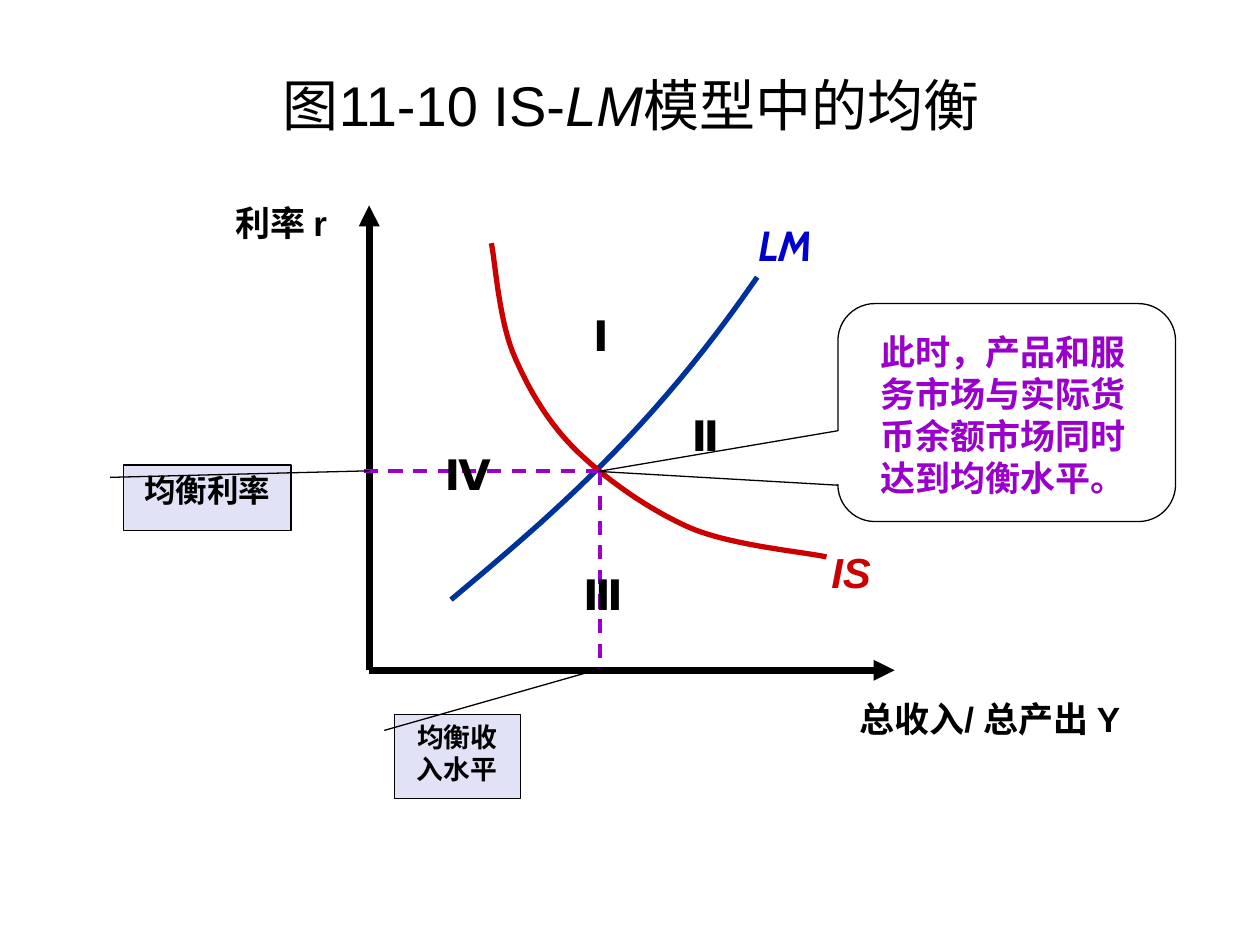
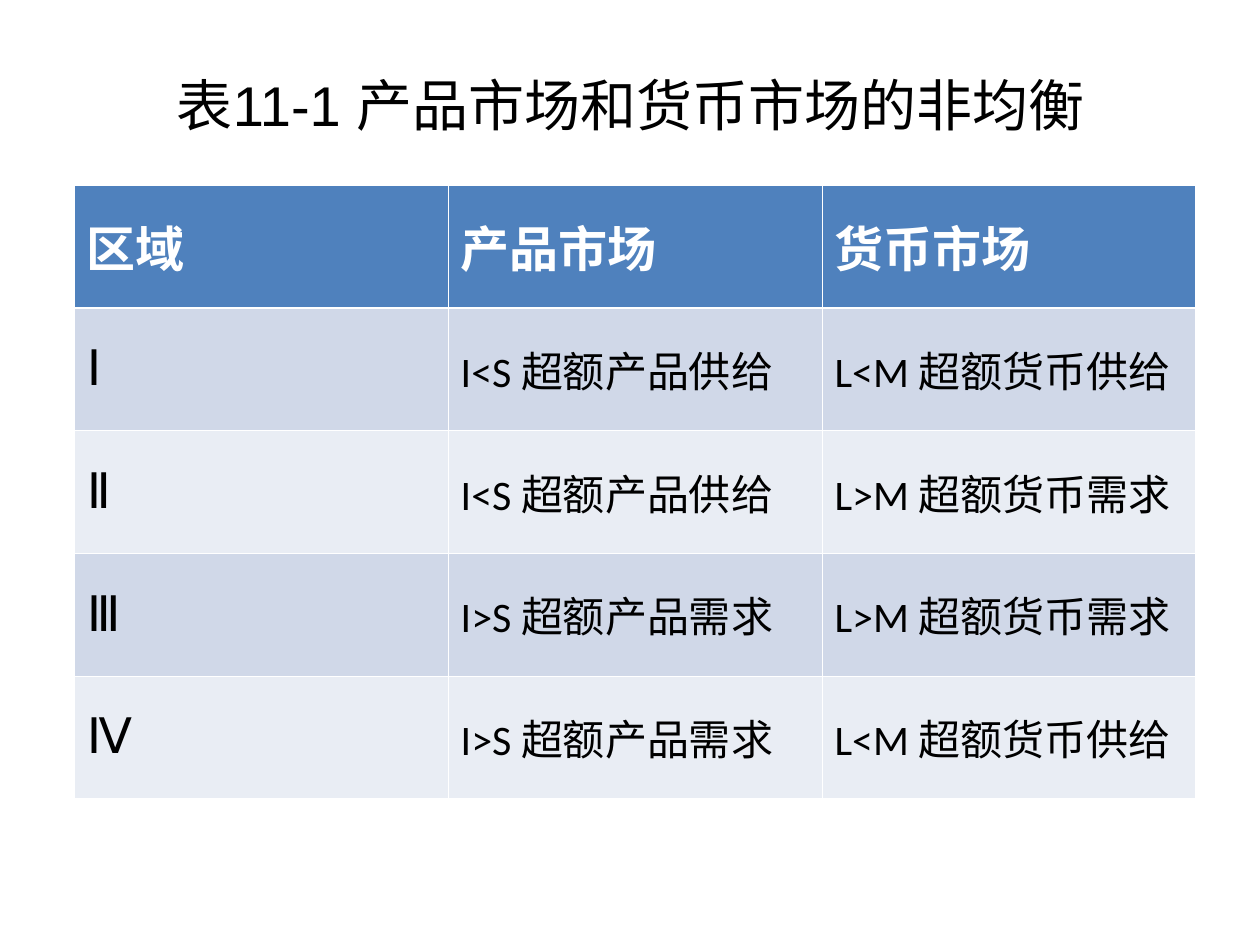
"""Build two slides on IS-LM equilibrium: a diagram and a table of disequilibrium regions."""
import dataclasses

import lxml.etree
import pptx
import pptx.dml.color
import pptx.enum.dml
import pptx.enum.shapes
import pptx.enum.text
import pptx.oxml.ns
import pptx.util

Inches = pptx.util.Inches
Pt = pptx.util.Pt
RGB = pptx.dml.color.RGBColor.from_string
SHAPE = pptx.enum.shapes.MSO_SHAPE
ALIGN = pptx.enum.text.PP_ALIGN
ANCHOR = pptx.enum.text.MSO_ANCHOR


@dataclasses.dataclass(frozen=True)
class Theme:
    font: str = "Arial"
    curve_font: str = "Cabin"
    table_font: str = "Calibri"
    black: str = "000000"
    white: str = "FFFFFF"
    lm_line: str = "003399"
    lm_text: str = "0000CC"
    is_red: str = "CC0000"
    purple: str = "9900CC"
    note_fill: str = "E2E2F6"
    header_fill: str = "4F81BD"
    row_fills: tuple = ("D0D8E8", "E9EDF4")
    title: float = 32
    table_head: float = 28
    curve: float = 24
    body: float = 20
    note: float = 18
    small_note: float = 15.3
    axis_width: float = 4
    curve_width: float = 3
    guide_width: float = 2
    outline: float = 0.75
    grid: float = 0.45
    header_rule: float = 1.47


def bezier(start, *segments, steps=24):
    points = [start]
    for x1, y1, x2, y2, x3, y3 in segments:
        x0, y0 = points[-1]
        for i in range(1, steps + 1):
            t = i / steps
            u = 1 - t
            weights = u ** 3, 3 * u * u * t, 3 * u * t * t, t ** 3
            points.append((sum(w * x for w, x in zip(weights, (x0, x1, x2, x3))),
                           sum(w * y for w, y in zip(weights, (y0, y1, y2, y3)))))
    return points


class Deck:
    def __init__(self, theme):
        self.theme = theme
        self.prs = pptx.Presentation()
        self.prs.slide_width, self.prs.slide_height = Inches(10), Inches(7.5)
        self.s = None

    def slide(self, *title_runs):
        self.s = self.prs.slides.add_slide(self.prs.slide_layouts[6])
        self.text((0.51, 0.36, 9, 0.94), title_runs, anchor=ANCHOR.MIDDLE,
                  align=ALIGN.CENTER, size=self.theme.title, bold=False)

    def set_text(self, tf, runs, anchor=ANCHOR.TOP, align=ALIGN.LEFT, color=None, **fmt):
        t = self.theme
        frame = {"word_wrap": True, "vertical_anchor": anchor}
        for name, value in frame.items():
            setattr(tf, name, value)
        p = tf.paragraphs[0]
        p.alignment = align
        for text, extra in runs:
            values = {"name": t.font, "size": t.body, "bold": True, **fmt, **extra}
            values["size"] = Pt(values["size"])
            r = p.add_run()
            r.text = text
            for name, value in values.items():
                setattr(r.font, name, value)
            r.font.color.rgb = RGB(color or t.black)

    def text(self, box, runs, **fmt):
        sp = self.s.shapes.add_textbox(*map(Inches, box))
        self.set_text(sp.text_frame, runs, **fmt)

    def label(self, box, text, **fmt):
        self.text(box, [(text, {})], **fmt)

    def stroke(self, line, color, width):
        line.color.rgb = RGB(color)
        line.width = Pt(width)

    def line(self, start, end, color, width, arrow=False, dash=False):
        sp = self.s.shapes.add_connector(
            pptx.enum.shapes.MSO_CONNECTOR.STRAIGHT, *map(Inches, start + end))
        self.stroke(sp.line, color, width)
        if dash:
            sp.line.dash_style = pptx.enum.dml.MSO_LINE.DASH
        sp_pr = sp._element.spPr
        if arrow:
            lxml.etree.SubElement(sp_pr.get_or_add_ln(),
                                  pptx.oxml.ns.qn("a:tailEnd"), type="triangle")
        lxml.etree.SubElement(sp_pr, pptx.oxml.ns.qn("a:effectLst"))

    def curve(self, points, color):
        scaled = [(Inches(x), Inches(y)) for x, y in points]
        fb = self.s.shapes.build_freeform(*scaled[0])
        fb.add_line_segments(scaled[1:], close=False)
        sp = fb.convert_to_shape()
        sp.shadow.inherit = False
        sp.fill.background()
        self.stroke(sp.line, color, self.theme.curve_width)

    def callout(self, kind, box, adjustments, fill=None, text=None, **fmt):
        sp = self.s.shapes.add_shape(kind, *map(Inches, box))
        sp.shadow.inherit = False
        for i, value in enumerate(adjustments):
            sp.adjustments[i] = value
        if fill:
            sp.fill.solid()
            sp.fill.fore_color.rgb = RGB(fill)
        else:
            sp.fill.background()
        self.stroke(sp.line, self.theme.black, self.theme.outline)
        if text:
            self.set_text(sp.text_frame, [(text, {})], align=ALIGN.CENTER, **fmt)

    def borders(self, cell, **widths):
        tc_pr = cell._tc.get_or_add_tcPr()
        qn = pptx.oxml.ns.qn
        for side, width in widths.items():
            ln = lxml.etree.SubElement(tc_pr, qn(f"a:ln{side}"), w=str(Pt(width)))
            fill = lxml.etree.SubElement(ln, qn("a:solidFill"))
            lxml.etree.SubElement(fill, qn("a:srgbClr"), val=self.theme.white)

    def table(self, box, rows):
        t = self.theme
        table = self.s.shapes.add_table(len(rows), len(rows[0]), *map(Inches, box)).table
        for i, row in enumerate(rows):
            head = i == 0
            for j, text in enumerate(row):
                cell = table.cell(i, j)
                self.borders(cell, L=t.grid, R=t.grid,
                             T=t.header_rule if i == 1 else t.grid,
                             B=t.header_rule if head else t.grid)
                cell.fill.solid()
                cell.fill.fore_color.rgb = RGB(t.header_fill if head else t.row_fills[(i - 1) % 2])
                cell.vertical_anchor = ANCHOR.MIDDLE
                self.set_text(cell.text_frame, [(text, {})], anchor=ANCHOR.MIDDLE,
                              color=t.white if head else t.black, name=t.table_font, bold=head,
                              size=t.table_head if head or j == 0 else t.curve)


def equilibrium_slide(deck):
    t = deck.theme
    deck.slide(("图11-10 IS-", {}), ("LM", {"italic": True}), ("模型中的均衡", {}))
    origin, equilibrium = (2.93, 5.32), (4.76, 3.74)
    for tip in ((2.93, 1.63), (7.1, 5.32)):
        deck.line(origin, tip, t.black, t.axis_width, arrow=True)
    deck.label((1.77, 1.55, 1.24, 0.44), "利率 r")
    deck.label((6.72, 5.49, 2.38, 0.77), "总收入/ 总产出 Y")

    deck.curve(bezier((3.58, 4.76), (4.38, 4.09, 5.17, 3.42, 6.01, 2.2)), t.lm_line)
    deck.label((5.92, 1.69, 0.9, 0.5), "LM", name=t.curve_font, size=t.curve,
               italic=True, color=t.lm_text)
    deck.label((6.5, 4.29, 0.87, 0.5), "IS", size=t.curve, italic=True, color=t.is_red)
    deck.curve(bezier((3.9, 1.93),
                      (3.93, 2.07, 3.96, 2.54, 4.08, 2.82),
                      (4.2, 3.1, 4.36, 3.37, 4.59, 3.59),
                      (4.83, 3.82, 5.16, 4.05, 5.48, 4.19),
                      (5.81, 4.33, 6.38, 4.38, 6.56, 4.42)), t.is_red)

    notes = (
        ((2.87, 3.74), (0.98, 3.69, 1.33, 0.52), (0.09, 1.47), "均衡利率", t.note),
        ((4.76, 5.31), (3.13, 5.67, 1, 0.67), (-0.55, 1.66), "均衡收入水平", t.small_note),
    )
    for foot, box, target, text, size in notes:
        deck.line(equilibrium, foot, t.purple, t.guide_width, dash=True)
        deck.callout(SHAPE.LINE_CALLOUT_1, box, (0.19, -0.08, *target),
                     fill=t.note_fill, text=text, size=size)

    deck.callout(SHAPE.ROUNDED_RECTANGULAR_CALLOUT, (6.65, 2.41, 2.68, 1.73),
                 (-1.21, 0.27, 0.17))
    deck.label((6.89, 2.57, 2.36, 1.44),
               "此时，产品和服务市场与实际货币余额市场同时达到均衡水平。", color=t.purple)
    regions = {"Ⅰ": (4.61, 2.41), "Ⅳ": (3.43, 3.51), "Ⅲ": (4.53, 4.46), "Ⅱ": (5.39, 3.2)}
    for region, corner in regions.items():
        deck.label((*corner, 0.62, 0.5), region, size=t.curve)


def disequilibrium_slide(deck):
    deck.slide(("表11-1 产品市场和货币市场的非均衡", {}))
    deck.table((0.59, 1.47, 8.9, 4.87), (
        ("区域", "产品市场", "货币市场"),
        ("Ⅰ", "I<S 超额产品供给", "L<M 超额货币供给"),
        ("Ⅱ", "I<S 超额产品供给", "L>M 超额货币需求"),
        ("Ⅲ", "I>S 超额产品需求", "L>M 超额货币需求"),
        ("Ⅳ", "I>S 超额产品需求", "L<M 超额货币供给"),
    ))


def main():
    deck = Deck(Theme())
    equilibrium_slide(deck)
    disequilibrium_slide(deck)
    deck.prs.save("out.pptx")


if __name__ == "__main__":
    main()
